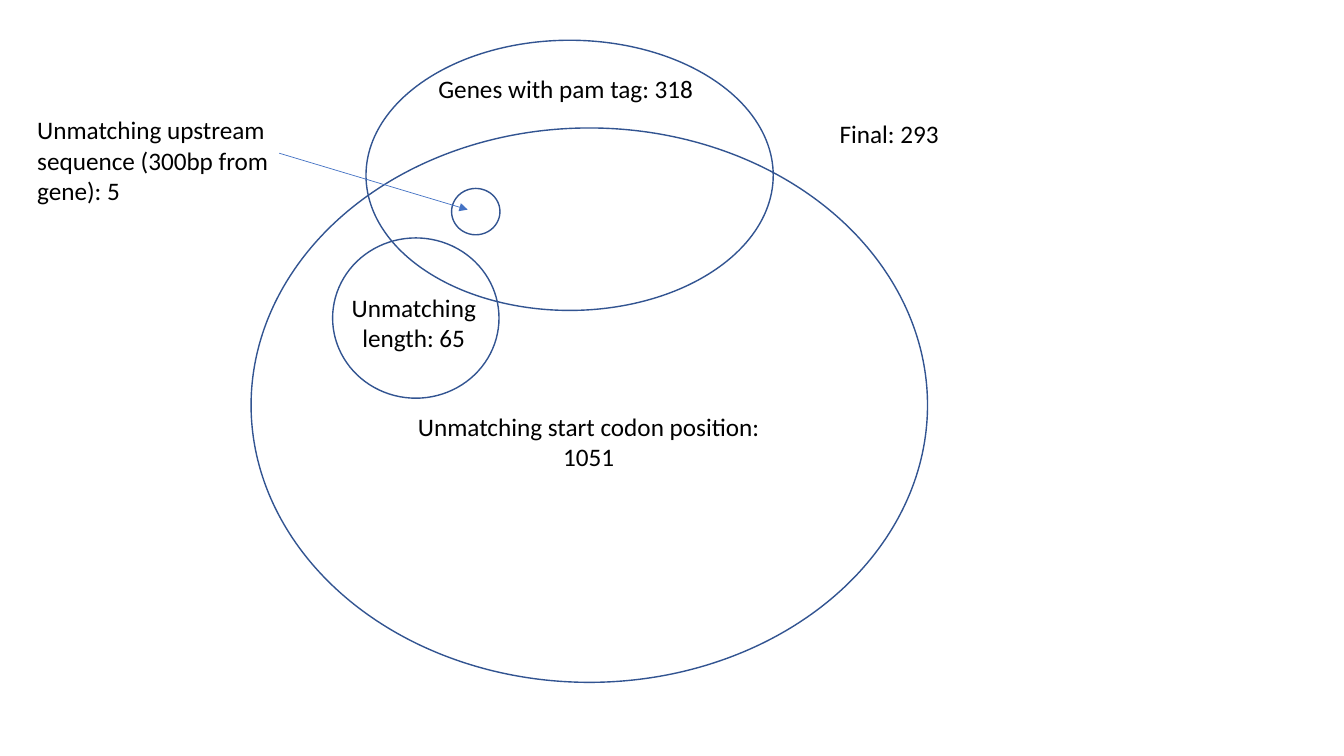
from typing import NamedTuple

from lxml import etree
from pptx import Presentation
from pptx import util as u
from pptx.dml.color import RGBColor
from pptx.enum import shapes, text
from pptx.oxml.ns import qn

WIDTH, HEIGHT = u.Inches(13.33), u.Inches(7.5)
OUTLINE, ARROW, INK = "325491", "4472C4", "000000"
LEFT, CENTER = text.PP_ALIGN.LEFT, text.PP_ALIGN.CENTER


class Area(NamedTuple):
    """Left, top, width and height in percent of the slide's size."""
    left: float
    top: float
    width: float
    height: float


class Label(NamedTuple):
    wording: str
    area: Area
    align: text.PP_ALIGN = LEFT


class GeneSet(NamedTuple):
    ellipse: Area
    label: Label


GENE_SETS = [
    GeneSet(Area(24.75, 31.47, 12.38, 21.2),
            Label("Unmatching length: 65", Area(24.6, 38, 12.38, 9.47), CENTER)),
    GeneSet(Area(18.68, 16.93, 50.33, 73.33),
            Label("Unmatching start codon position: 1051",
                  Area(29.1, 53.73, 29.4, 9.87), CENTER)),
    GeneSet(Area(27.23, 5.33, 30.3, 35.73),
            Label("Genes with pam tag: 318", Area(31.88, 9.07, 21.98, 5.73))),
    GeneSet(Area(33.6, 24.93, 3.6, 6.13),
            Label("Unmatching upstream sequence (300bp from gene): 5",
                  Area(2.03, 14.53, 20.93, 13.47))),
]
FINAL = Label("Final: 293", Area(61.73, 14.93, 9.68, 5.33))
ARROW_START, ARROW_END = (20.78, 20.27), (34.8, 27.73)


def color(value: str) -> RGBColor:
    return RGBColor.from_string(value)


def across(share: float) -> int:
    return round(WIDTH * share / 100)


def down(share: float) -> int:
    return round(HEIGHT * share / 100)


def place(area: Area) -> tuple[int, int, int, int]:
    return across(area.left), down(area.top), across(area.width), down(area.height)


def draw_ellipse(page, area: Area) -> None:
    ellipse = page.shapes.add_shape(shapes.MSO_SHAPE.OVAL, *place(area))
    ellipse.shadow.inherit = False
    ellipse.fill.background()
    ellipse.line.color.rgb = color(OUTLINE)
    ellipse.line.width = u.Pt(1)


def draw_label(page, label: Label) -> None:
    frame = page.shapes.add_textbox(*place(label.area)).text_frame
    frame.word_wrap = True
    frame.auto_size = text.MSO_AUTO_SIZE.SHAPE_TO_FIT_TEXT
    para = frame.paragraphs[0]
    para.text = label.wording
    para.alignment = label.align
    para.font.name = "Calibri"
    para.font.size = u.Pt(18)
    para.font.color.rgb = color(INK)


def draw_arrow(page, start: tuple[float, float], end: tuple[float, float]) -> None:
    arrow = page.shapes.add_connector(
        shapes.MSO_CONNECTOR.STRAIGHT,
        across(start[0]), down(start[1]), across(end[0]), down(end[1]))
    arrow.line.color.rgb = color(ARROW)
    arrow.line.width = u.Pt(0.5)
    etree.SubElement(arrow.line._get_or_add_ln(), qn("a:tailEnd"), type="triangle")
    etree.SubElement(arrow._element.spPr, qn("a:effectLst"))


def main() -> None:
    deck = Presentation()
    deck.slide_width, deck.slide_height = WIDTH, HEIGHT
    page = deck.slides.add_slide(deck.slide_layouts[6])
    for gene_set in GENE_SETS:
        draw_ellipse(page, gene_set.ellipse)
        draw_label(page, gene_set.label)
    draw_arrow(page, ARROW_START, ARROW_END)
    draw_label(page, FINAL)
    deck.save("out.pptx")


if __name__ == "__main__":
    main()
